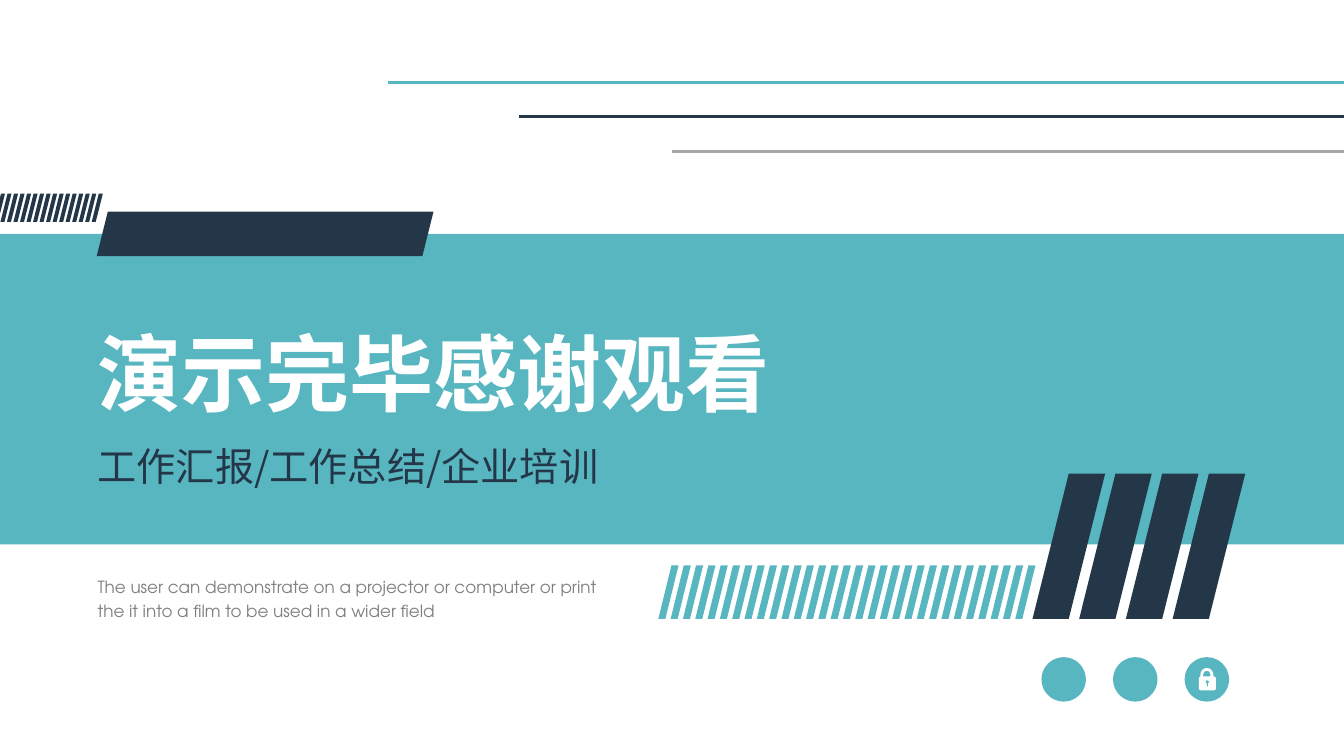
from pptx import Presentation
from pptx.dml.color import RGBColor
from pptx.enum.shapes import MSO_CONNECTOR as Connector, MSO_SHAPE as Shape
from pptx.enum.text import MSO_AUTO_SIZE as AutoSize, PP_ALIGN as Align
from pptx.oxml.ns import qn
from pptx.util import Inches, Pt
from lxml.etree import SubElement

TEAL = RGBColor(0x58, 0xB6, 0xC0)
NAVY = RGBColor(0x24, 0x37, 0x48)
SILVER = RGBColor(0xA6, 0xA6, 0xA6)
GRAY = RGBColor(0x80, 0x80, 0x80)
WHITE = RGBColor(0xFF, 0xFF, 0xFF)
HAN_FONT = "Noto Sans CJK SC"
LATIN_FONT = "TeX Gyre Adventor"
SLIDE_WIDTH, SLIDE_HEIGHT = 13.33, 7.5


class ClosingSlide:
    def __init__(self, page):
        self.shapes = page.shapes
        self.line_spacing = 1.2
        self.rule_width = Pt(2.25)

    def paint(self, shape, color):
        shape.shadow.inherit = False
        shape.fill.solid()
        shape.fill.fore_color.rgb = color
        shape.line.fill.background()
        return shape

    def block(self, kind, left, top, width, height, color):
        shape = self.shapes.add_shape(
            kind, Inches(left), Inches(top), Inches(width), Inches(height))
        return self.paint(shape, color)

    def rule(self, left, y, color):
        line = self.shapes.add_connector(
            Connector.STRAIGHT, Inches(left), Inches(y), Inches(SLIDE_WIDTH), Inches(y))
        line.line.color.rgb = color
        line.line.width = self.rule_width
        SubElement(line._element.spPr, qn("a:effectLst"))

    def stripes(self, first, last, count, top, bottom, width, slant, color):
        step = (last - first) / (count - 1)
        for index in range(count):
            left = first + index * step
            corners = [(left + slant, top), (left + slant + width, top),
                       (left + width, bottom), (left, bottom)]
            points = [(Inches(x), Inches(y)) for x, y in corners]
            outline = self.shapes.build_freeform(*points[0])
            outline.add_line_segments(points[1:], close=True)
            self.paint(outline.convert_to_shape(), color)

    def text(self, left, top, width, height, words, size, font, color,
             bold=False, align=Align.LEFT):
        box = self.shapes.add_textbox(
            Inches(left), Inches(top), Inches(width), Inches(height))
        frame = box.text_frame
        frame.word_wrap = True
        frame.auto_size = AutoSize.SHAPE_TO_FIT_TEXT
        frame.text = words
        para = frame.paragraphs[0]
        para.alignment = align
        para.line_spacing = self.line_spacing
        span = para.runs[0]
        span.font.size = Pt(size)
        span.font.bold = bold
        span.font.color.rgb = color
        span.font.name = font
        SubElement(span._r.get_or_add_rPr(), qn("a:ea"), typeface=font)

    def badge(self, center):
        self.block(Shape.OVAL, center - 0.22, 6.52, 0.44, 0.44, TEAL)

    def padlock(self, center):
        self.badge(center)
        shackle = self.block(
            Shape.ROUND_2_SAME_RECTANGLE, center - 0.05, 6.64, 0.1, 0.12, WHITE)
        shackle.adjustments[0] = 0.5
        shackle.fill.background()
        shackle.line.color.rgb = WHITE
        shackle.line.width = Pt(2)
        self.block(Shape.ROUNDED_RECTANGLE, center - 0.08, 6.71, 0.17, 0.14, WHITE)
        self.block(Shape.OVAL, center - 0.01, 6.75, 0.03, 0.03, TEAL)
        self.block(Shape.RECTANGLE, center, 6.77, 0.01, 0.04, TEAL)


def main():
    deck = Presentation()
    deck.slide_width = Inches(SLIDE_WIDTH)
    deck.slide_height = Inches(SLIDE_HEIGHT)
    page = deck.slides.add_slide(deck.slide_layouts[6])
    slide = ClosingSlide(page)

    slide.block(Shape.RECTANGLE, 0, 2.32, SLIDE_WIDTH, 3.08, TEAL)
    for left, y, color in [(3.85, 0.82, TEAL), (5.15, 1.16, NAVY), (6.67, 1.5, SILVER)]:
        slide.rule(left, y, color)
    slide.block(Shape.PARALLELOGRAM, 0.96, 2.1, 3.34, 0.44, NAVY)

    slide.stripes(10.24, 11.63, 4, 4.7, 6.14, 0.36, 0.36, NAVY)
    slide.stripes(6.53, 10.07, 30, 5.61, 6.14, 0.07, 0.13, TEAL)
    slide.stripes(-0.06, 0.91, 16, 1.92, 2.2, 0.04, 0.07, NAVY)

    slide.text(0.87, 2.94, 9.6, 1.21, "演示完毕感谢观看", 60, HAN_FONT, WHITE,
               bold=True, align=Align.JUSTIFY)
    slide.text(0.87, 4.25, 7.32, 0.62, "工作汇报/工作总结/企业培训", 28, HAN_FONT, NAVY,
               align=Align.JUSTIFY)
    slide.text(0.87, 5.63, 5.23, 0.56,
               "The user can demonstrate on a projector or computer or print "
               "the it into a film to be used in a wider field",
               12, LATIN_FONT, GRAY)

    for center in (10.55, 11.26):
        slide.badge(center)
    slide.padlock(11.97)

    deck.save("out.pptx")


if __name__ == "__main__":
    main()
